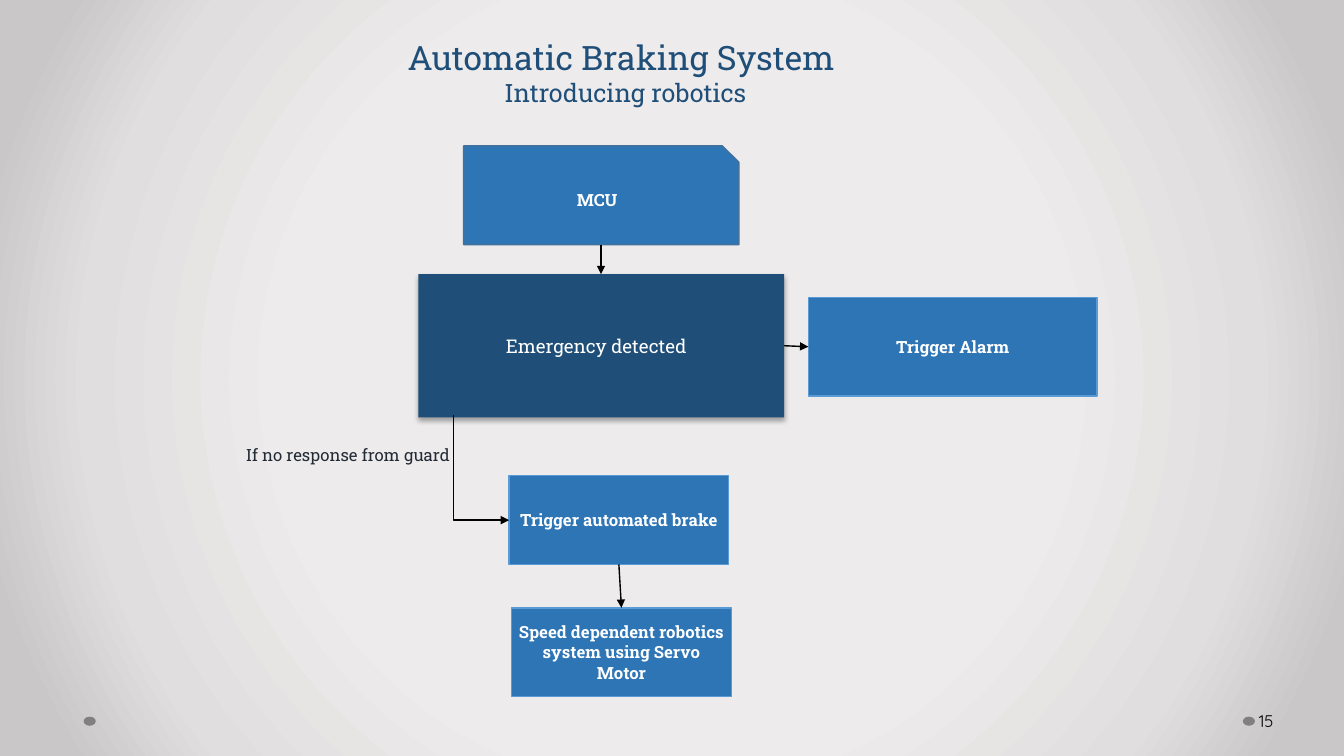
import pptx
import pptx.dml.color
import pptx.enum.shapes
import pptx.enum.text
import pptx.oxml
import pptx.oxml.ns
import pptx.util

Pt = pptx.util.Pt
RGBColor = pptx.dml.color.RGBColor
Shape = pptx.enum.shapes.MSO_SHAPE
Connector = pptx.enum.shapes.MSO_CONNECTOR
Align = pptx.enum.text.PP_ALIGN
Anchor = pptx.enum.text.MSO_ANCHOR
qn = pptx.oxml.ns.qn

NAVY = RGBColor(0x1F, 0x4E, 0x79)
BLUE = RGBColor(0x2E, 0x75, 0xB6)
LIGHT_BLUE = RGBColor(0x5B, 0x9B, 0xD5)
STEEL = RGBColor(0x42, 0x71, 0x9B)
INK = RGBColor(0x22, 0x2A, 0x35)
GRAY = RGBColor(0x80, 0x80, 0x80)
BLACK = RGBColor(0, 0, 0)
WHITE = RGBColor(0xFF, 0xFF, 0xFF)
SLAB = "Roboto Slab"
NAMESPACE = 'xmlns:a="http://schemas.openxmlformats.org/drawingml/2006/main"'


def format_text(para, size, color, font=SLAB, bold=False, align=Align.CENTER):
    para.alignment = align
    for span in para.runs:
        span.font.name = font
        span.font.size = Pt(size)
        span.font.bold = bold
        span.font.color.rgb = color


def add_arrow(kind, start, end, arrowhead):
    """Draw a black connector; arrowhead is headEnd (at start) or tailEnd (at end)."""
    arrow = slide.shapes.add_connector(kind, Pt(start[0]), Pt(start[1]), Pt(end[0]), Pt(end[1]))
    arrow.line.color.rgb = BLACK
    arrow.line.width = Pt(1)
    arrow.line._get_or_add_ln().append(
        pptx.oxml.parse_xml(f'<a:{arrowhead} {NAMESPACE} type="triangle"/>'))
    arrow._element.spPr.append(pptx.oxml.parse_xml(f"<a:effectLst {NAMESPACE}/>"))
    return arrow


deck = pptx.Presentation()
deck.slide_width, deck.slide_height = Pt(960), Pt(540)
slide = deck.slides.add_slide(deck.slide_layouts[5])

# Radial background
slide.background.fill.gradient()
gradient = slide._element.find(".//" + qn("a:gradFill"))
stops = "".join(
    f'<a:gs pos="{percent * 1000}"><a:srgbClr val="{color}"/></a:gs>'
    for percent, color in [(50, "EDEBEB"), (76, "E0DEDE"), (92, "C9C7C7")])
gradient.getparent().replace(gradient, pptx.oxml.parse_xml(
    f'<a:gradFill {NAMESPACE} rotWithShape="1"><a:gsLst>{stops}</a:gsLst><a:path path="circle">'
    '<a:fillToRect l="50000" t="50000" r="50000" b="50000"/></a:path></a:gradFill>'))

# Footer dots and page number
for left in (59.76, 887.76):
    dot = slide.shapes.add_shape(Shape.OVAL, Pt(left), Pt(511.92), Pt(8.64), Pt(6.48))
    dot.shadow.inherit = False
    dot.fill.solid()
    dot.fill.fore_color.rgb = GRAY
    dot.line.fill.background()

page_number = slide.shapes.add_textbox(Pt(897.12), Pt(500.4), Pt(59.04), Pt(28.8))
page_number.text_frame.word_wrap = True
page_number.text_frame.vertical_anchor = Anchor.MIDDLE
page_number.text_frame.margin_left = Pt(2)
page_number.text_frame.text = "15"
format_text(page_number.text_frame.paragraphs[0], 12, BLACK, "Quicksand", align=Align.LEFT)

# Title
title = slide.shapes.title
title.left, title.top, title.width, title.height = Pt(-17.28), Pt(23.04), Pt(928.08), Pt(58.32)
title.text_frame.text = "Automatic Braking System \nIntroducing robotics"
title.text_frame.vertical_anchor = Anchor.TOP
title.text_frame.auto_size = pptx.enum.text.MSO_AUTO_SIZE.NONE
for para, size in zip(title.text_frame.paragraphs, (24, 18)):
    format_text(para, size, NAVY)

# Flowchart boxes: text, shape, left, top, width, height, fill, line
boxes = {}
for name, text, kind, left, top, width, height, fill, line in [
    ("emergency", "Emergency detected", Shape.RECTANGLE, 298.8, 195.84, 261.36, 102.24, NAVY, None),
    ("mcu", "MCU", Shape.SNIP_1_RECTANGLE, 331.2, 104.16, 196.56, 70.56, BLUE, STEEL),
    ("alarm", "Trigger Alarm", Shape.RECTANGLE, 577.44, 212.4, 206.28, 70.56, BLUE, LIGHT_BLUE),
    ("brake", "Trigger automated brake", Shape.RECTANGLE, 363.6, 339.84, 156.96, 63.36, BLUE, LIGHT_BLUE),
    ("motor", "Speed dependent robotics system using Servo Motor", Shape.RECTANGLE,
     365.4, 434.16, 156.96, 63.36, BLUE, LIGHT_BLUE),
]:
    box = slide.shapes.add_shape(kind, Pt(left), Pt(top), Pt(width), Pt(height))
    box.shadow.inherit = False
    box.fill.solid()
    box.fill.fore_color.rgb = fill
    if line is None:
        box.line.fill.background()
    else:
        box.line.color.rgb = line
        box.line.width = Pt(1)
    frame = box.text_frame
    frame.word_wrap = True
    frame.vertical_anchor = Anchor.MIDDLE
    frame.margin_left = frame.margin_right = Pt(5)
    frame.margin_top = frame.margin_bottom = Pt(3)
    frame.text = text
    format_text(frame.paragraphs[0], 12, WHITE, bold=True)
    boxes[name] = box

emergency = boxes["emergency"]
emergency.text_frame.margin_right = Pt(12)
format_text(emergency.text_frame.paragraphs[0], 13.5, WHITE)
emergency._element.spPr.find(qn("a:effectLst")).append(pptx.oxml.parse_xml(
    f'<a:outerShdw {NAMESPACE} blurRad="{Pt(3.5)}" dist="{Pt(2.2)}" dir="5400000" rotWithShape="0">'
    '<a:srgbClr val="000000"><a:alpha val="32000"/></a:srgbClr></a:outerShdw>'))

condition = slide.shapes.add_textbox(Pt(168.48), Pt(313.92), Pt(167.04), Pt(42.48))
condition.text_frame.word_wrap = True
condition.text_frame.text = "If no response from guard"
format_text(condition.text_frame.paragraphs[0], 12, INK, align=Align.LEFT)

# Straight arrows between boxes
for start, end in [
    ((429.3, 174.72), (429.3, 195.84)),
    ((560.16, 246.96), (577.44, 247.68)),
    ((442.08, 403.2), (443.88, 434.16)),
]:
    add_arrow(Connector.STRAIGHT, start, end, "tailEnd")

# Bent arrow down from the emergency box and right into the brake box
bent = add_arrow(Connector.ELBOW, (324, 296.28), (363.6, 371.52), "headEnd")
bent._element.spPr.find(qn("a:prstGeom")).set("prst", "bentConnector2")
bent._element.spPr.find(qn("a:xfrm")).set("rot", "10800000")

deck.save("out.pptx")
